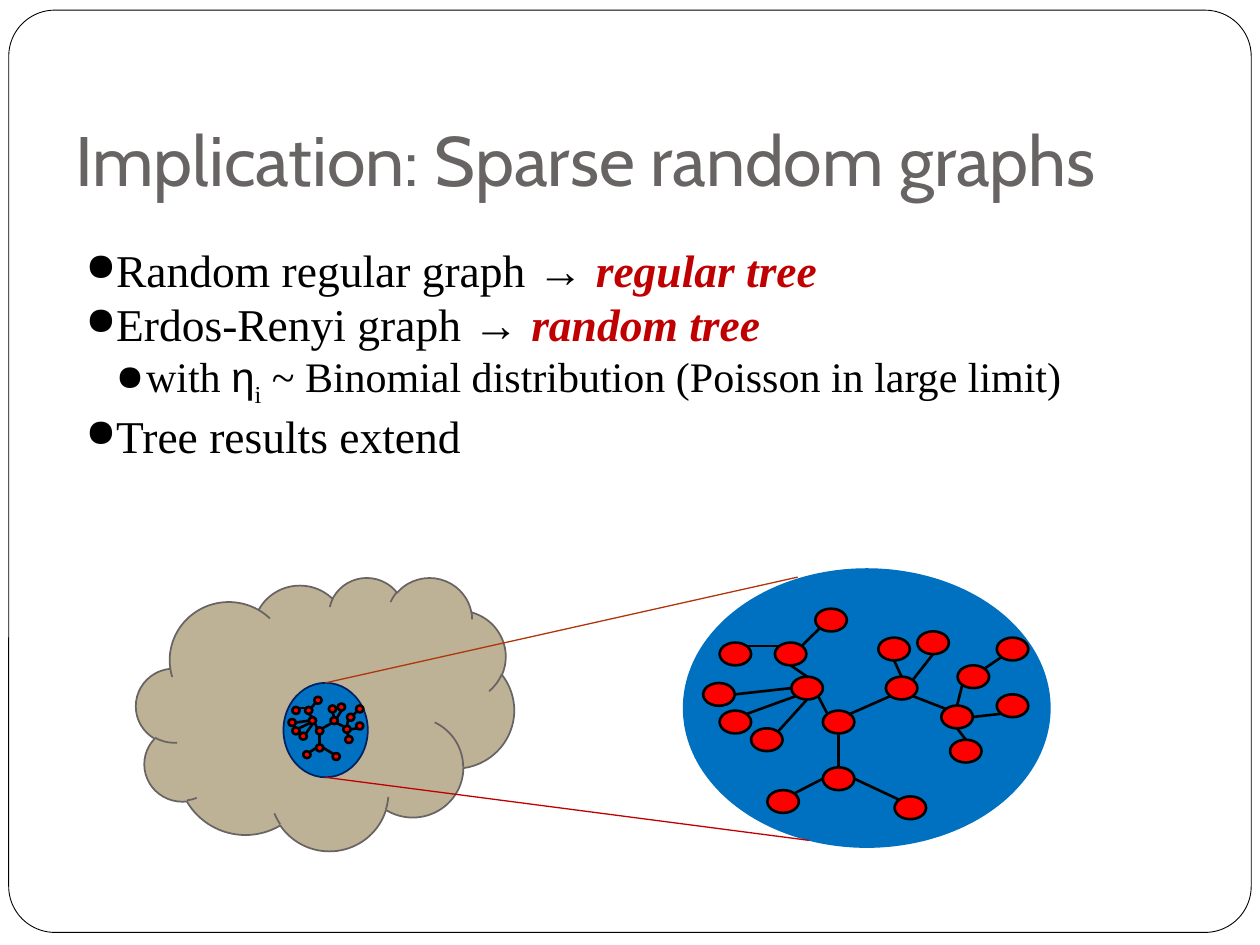
from lxml import etree
from pptx import Presentation
from pptx.dml.color import RGBColor
from pptx.enum.shapes import MSO_CONNECTOR, MSO_SHAPE
from pptx.enum.text import MSO_ANCHOR
from pptx.oxml.ns import qn
from pptx.util import Pt

LINE = MSO_CONNECTOR.STRAIGHT
OVAL = MSO_SHAPE.OVAL
CLOUD = MSO_SHAPE.CLOUD
ROUND = MSO_SHAPE.ROUNDED_RECTANGLE
BOTTOM, TOP = MSO_ANCHOR.BOTTOM, MSO_ANCHOR.TOP

BLACK = RGBColor(0x00, 0x00, 0x00)
WHITE = RGBColor(0xFF, 0xFF, 0xFF)
GRAY = RGBColor(0x69, 0x64, 0x64)
TAN = RGBColor(0xBD, 0xB1, 0x96)
BLUE = RGBColor(0x00, 0x70, 0xC0)
NAVY = RGBColor(0x00, 0x20, 0x60)
RED = RGBColor(0xFF, 0x00, 0x00)
DARK = RGBColor(0xC0, 0x00, 0x00)
RUST = RGBColor(0xB0, 0x35, 0x0B)

SERIF, SANS, HEAD = "Times New Roman", "Arial", "Cabin"
HANG = 17.3

NODE_W, NODE_H = 18, 13
# Top left corner of each node, from the corner of the tree
NODES = {
    "root": (68.4, 58.3), "stem": (68.4, 90.7),
    "stem1": (36.7, 103.7), "stem2": (109.4, 107.3),
    "left": (50.4, 38.9), "left1": (0, 42.5),
    "left2": (9.4, 58.3), "left3": (27.4, 68.4),
    "up": (41, 19.4), "up1": (9.4, 19.4), "up2": (64.1, 0),
    "right": (104.4, 38.9), "right1": (100.1, 16.6), "right2": (122.4, 13),
    "far": (136.1, 55.4), "far1": (141.1, 74.9), "far2": (167.8, 49),
    "fork": (145.4, 32.4), "fork1": (167.8, 16.6),
}
# Places on a node's rim, as shares of its width and height
RIM = {
    "n": (0.5, 0), "s": (0.5, 1), "w": (0, 0.5), "e": (1, 0.5),
    "nw": (0.15, 0.15), "ne": (0.85, 0.15),
    "sw": (0.15, 0.85), "se": (0.85, 0.85),
}
EDGES = [
    ("root", "nw", "left", "se"), ("root", "ne", "right", "sw"),
    ("root", "s", "stem", "n"), ("stem", "w", "stem1", "ne"),
    ("stem", "e", "stem2", "nw"), ("left", "n", "up", "s"),
    ("left", "w", "left1", "e"), ("left", "sw", "left2", "ne"),
    ("left", "s", "left3", "ne"), ("up", "nw", "up1", "ne"),
    ("up", "ne", "up2", "sw"), ("right", "n", "right1", "s"),
    ("right", "ne", "right2", "s"), ("right", "se", "far", "nw"),
    ("far", "s", "far1", "n"), ("far", "e", "far2", "sw"),
    ("far", "n", "fork", "sw"), ("fork", "ne", "fork1", "sw"),
]

PLAIN, ARROW, KEY = (SERIF, BLACK, False), (SANS, BLACK, False), (SERIF, DARK, True)
POINTS = [
    (0, 26, [("Random regular graph ", PLAIN), ("→ ", ARROW), ("regular tree", KEY)]),
    (0, 26, [("Erdos-Renyi graph ", PLAIN), ("→ ", ARROW), ("random tree", KEY)]),
    (1, 24, [("with ", PLAIN), ("η", ARROW), ("i", PLAIN),
             (" ~ Binomial distribution (Poisson in large limit)", PLAIN)]),
    (0, 26, [("Tree results extend", PLAIN)]),
]


def add_form(slide, kind, box, fill, line=None, width=1):
    form = slide.shapes.add_shape(kind, *map(Pt, box))
    form.shadow.inherit = False
    form.fill.solid()
    form.fill.fore_color.rgb = fill
    if line is None:
        form.line.fill.background()
    else:
        form.line.color.rgb = line
        form.line.width = Pt(width)
    return form


def add_line(slide, start, end, color, width):
    line = slide.shapes.add_connector(LINE, *map(Pt, (*start, *end)))
    line.line.color.rgb = color
    line.line.width = Pt(width)
    etree.SubElement(line._element.spPr, qn("a:effectLst"))


def add_frame(slide, box, anchor, base):
    frame = slide.shapes.add_textbox(*map(Pt, box)).text_frame
    frame.word_wrap = True
    frame.vertical_anchor = anchor
    frame.margin_bottom = Pt(base)
    return frame


def add_title(slide):
    frame = add_frame(slide, (36, 31.7, 648, 90), BOTTOM, 7.2)
    para = frame.paragraphs[0]
    para.text = "Implication: Sparse random graphs"
    para.font.name = HEAD
    para.font.size = Pt(40)
    para.font.color.rgb = GRAY


def set_bullet(para, level):
    props = para._p.get_or_add_pPr()
    props.set("marL", str(Pt(HANG * (level + 1))))
    props.set("indent", str(-Pt(HANG)))
    etree.SubElement(props, qn("a:buSzPct"), val="85000")
    etree.SubElement(props, qn("a:buChar"), char="●")
    para.level = level


def add_points(slide):
    frame = add_frame(slide, (41.8, 134.6, 648, 171.4), TOP, 3.6)
    for index, (level, size, runs) in enumerate(POINTS):
        para = frame.add_paragraph() if index else frame.paragraphs[0]
        set_bullet(para, level)
        para.font.size = Pt(size)
        for text, (face, color, strong) in runs:
            run = para.add_run()
            run.text = text
            run.font.name = face
            run.font.color.rgb = color
            run.font.bold = run.font.italic = strong
            if text == "i":
                run.font._element.set("baseline", "-25000")


def add_tree(slide, left, top, wide=1, high=1):
    """Draw the tree from its top left corner, scaled by wide and high."""
    def rim(name, side):
        (x, y), (across, down) = NODES[name], RIM[side]
        return (left + (x + across * NODE_W) * wide,
                top + (y + down * NODE_H) * high)

    for x, y in NODES.values():
        box = (left + x * wide, top + y * high, NODE_W * wide, NODE_H * high)
        add_form(slide, OVAL, box, RED, BLACK, 1.5)
    for one, side, two, other in EDGES:
        add_line(slide, rim(one, side), rim(two, other), BLACK, 1.5)


def main():
    deck = Presentation()
    deck.slide_width, deck.slide_height = Pt(720), Pt(540)
    slide = deck.slides.add_slide(deck.slide_layouts[6])
    border = add_form(slide, ROUND, (5, 5.8, 710, 527), WHITE, BLACK, 0.5)
    border.adjustments[0] = 0.05
    add_title(slide)
    add_points(slide)
    add_form(slide, OVAL, (390.2, 324.7, 210.2, 159.8), BLUE)
    add_form(slide, CLOUD, (77.8, 329.8, 216, 156.2), TAN, GRAY)
    add_tree(slide, 401.8, 347.8)
    add_form(slide, OVAL, (162, 390.2, 48.2, 54), BLUE, NAVY)
    add_tree(slide, 164.9, 398.2, 0.23, 0.3)
    add_line(slide, (186, 390.2), (455.8, 329.8), RUST, 0.75)
    add_line(slide, (186, 444.2), (462.2, 480.2), DARK, 0.75)
    deck.save("out.pptx")


if __name__ == "__main__":
    main()
